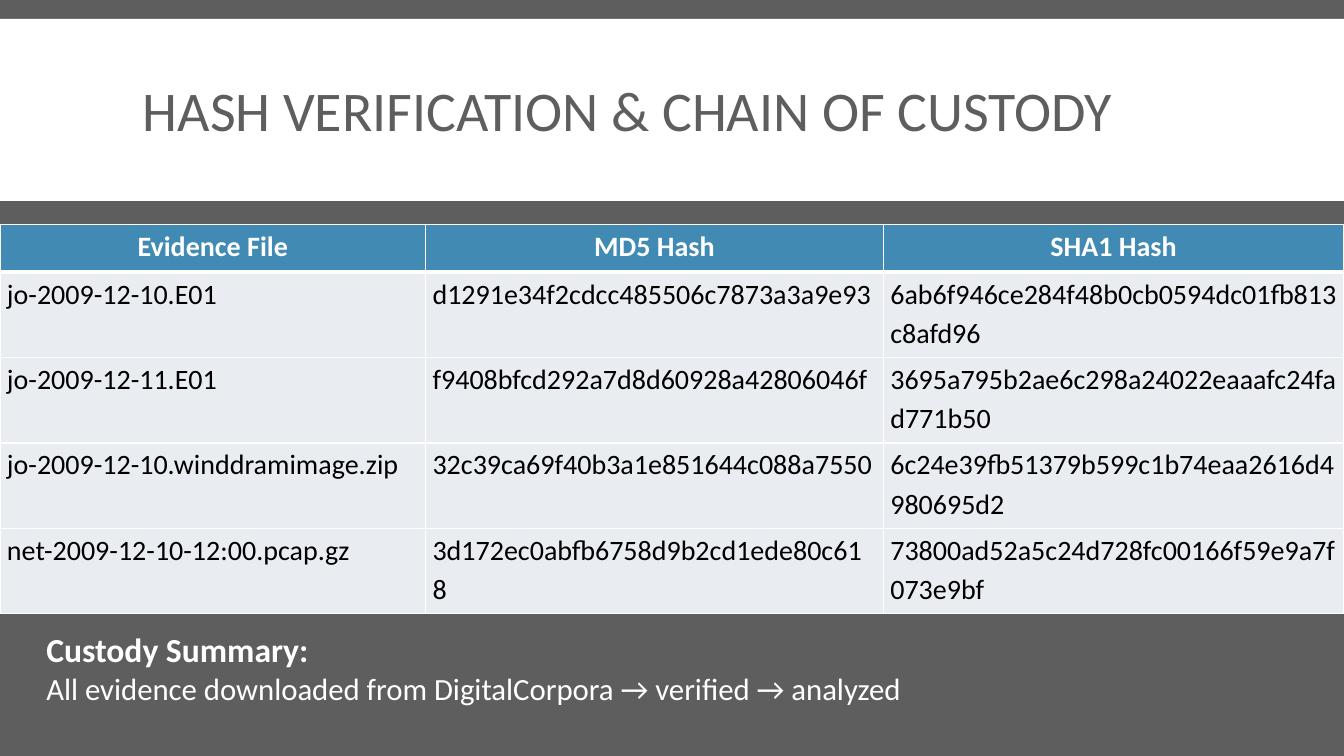
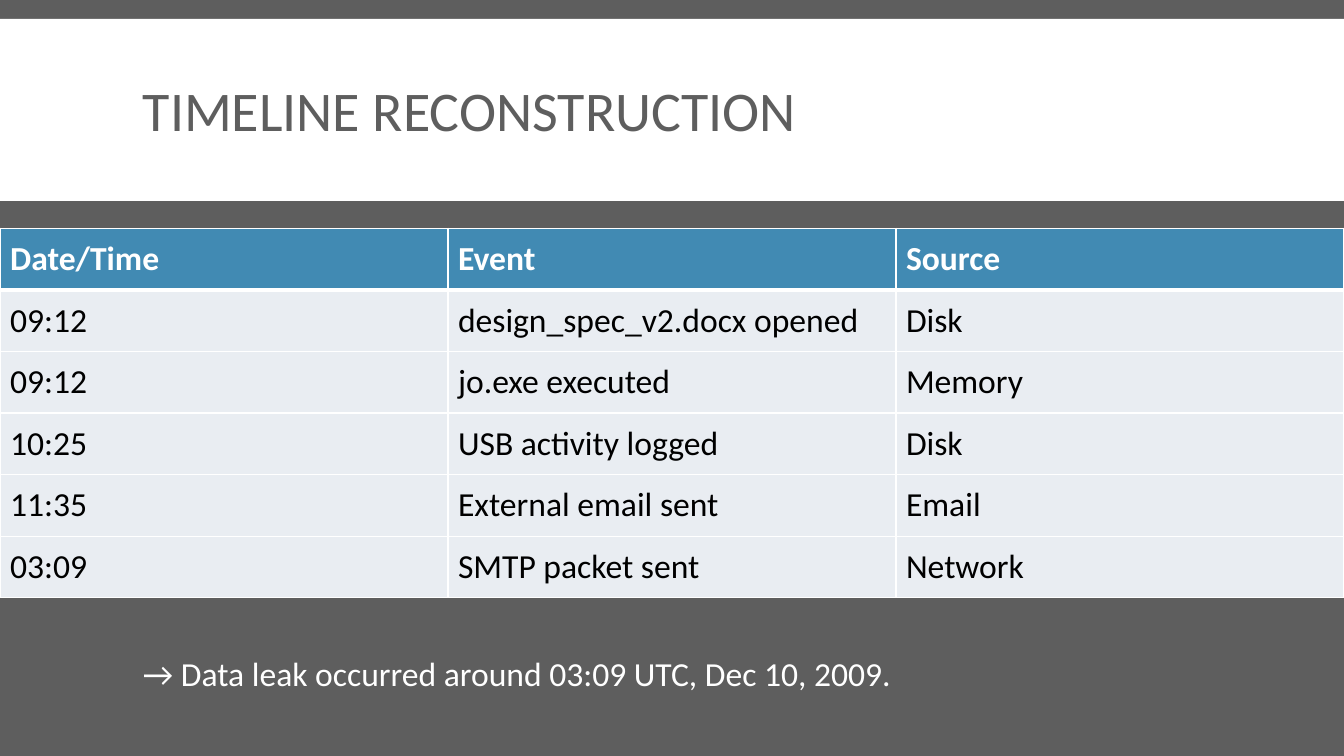
from lxml import etree
from pptx import Presentation
from pptx.dml.color import RGBColor
from pptx.enum.shapes import MSO_SHAPE as Shape
from pptx.enum.text import MSO_ANCHOR as Anchor, PP_ALIGN as Align
from pptx.oxml.ns import qn
from pptx.util import Pt

COLORS = {
    "background": "5E5E5E",
    "white": "FFFFFF",
    "header": "418AB3",
    "row": "E9EDF2",
    "text": "000000",
}
FONT = "Calibri"
WIDTH, HEIGHT = 960, 540
TITLE_BAND = (0, 13.5, WIDTH, 130)
TITLE_BOX = (95, 22, 770, 119)

HASHES = [
    ("Evidence File", "MD5 Hash", "SHA1 Hash"),
    ("jo-2009-12-10.E01", "d1291e34f2cdcc485506c7873a3a9e93",
     "6ab6f946ce284f48b0cb0594dc01fb813c8afd96"),
    ("jo-2009-12-11.E01", "f9408bfcd292a7d8d60928a42806046f",
     "3695a795b2ae6c298a24022eaaafc24fad771b50"),
    ("jo-2009-12-10.winddramimage.zip", "32c39ca69f40b3a1e851644c088a7550",
     "6c24e39fb51379b599c1b74eaa2616d4980695d2"),
    ("net-2009-12-10-12:00.pcap.gz", "3d172ec0abfb6758d9b2cd1ede80c618",
     "73800ad52a5c24d728fc00166f59e9a7f073e9bf"),
]
EVENTS = [
    ("Date/Time", "Event", "Source"),
    ("09:12", "design_spec_v2.docx opened", "Disk"),
    ("09:12", "jo.exe executed", "Memory"),
    ("10:25", "USB activity logged", "Disk"),
    ("11:35", "External email sent", "Email"),
    ("03:09", "SMTP packet sent", "Network"),
]


def color(name):
    return RGBColor.from_string(COLORS[name])


def points(box):
    return [Pt(value) for value in box]


def style(paragraph, size, color_name, bold=False):
    font = paragraph.font
    font.name, font.size, font.bold = FONT, Pt(size), bold
    font.color.rgb = color(color_name)


def add_text(slide, box, lines, color_name="white", anchor=Anchor.TOP, spacing=None):
    """Place lines of (text, size, bold) in one text box."""
    frame = slide.shapes.add_textbox(*points(box)).text_frame
    frame.word_wrap = True
    frame.vertical_anchor = anchor
    for index, (text, size, bold) in enumerate(lines):
        paragraph = frame.paragraphs[0] if index == 0 else frame.add_paragraph()
        paragraph.text = text
        paragraph.line_spacing = spacing
        style(paragraph, size, color_name, bold)


def add_borders(cell, row):
    """White rules, with a heavy one below the header row."""
    properties = cell._tc.get_or_add_tcPr()
    widths = {"lnL": 1, "lnR": 1, "lnT": 3 if row == 1 else 1, "lnB": 3 if row == 0 else 1}
    for side, width in widths.items():
        line = etree.SubElement(properties, qn("a:" + side), w=str(Pt(width)))
        fill = etree.SubElement(line, qn("a:solidFill"))
        etree.SubElement(fill, qn("a:srgbClr"), val=COLORS["white"])


def add_table(slide, top, rows, column_widths, row_heights, size,
              anchor=Anchor.TOP, header_align=Align.LEFT, spacing=None, margins=(7.2, 3.6)):
    """Place a full-width table whose first row is the header."""
    box = (0, top, sum(column_widths), sum(row_heights))
    table = slide.shapes.add_table(len(rows), len(column_widths), *points(box)).table
    for column, width in zip(table.columns, column_widths):
        column.width = Pt(width)
    for row_index, values in enumerate(rows):
        table.rows[row_index].height = Pt(row_heights[row_index])
        is_header = row_index == 0
        for column_index, value in enumerate(values):
            cell = table.cell(row_index, column_index)
            add_borders(cell, row_index)
            cell.fill.solid()
            cell.fill.fore_color.rgb = color("header" if is_header else "row")
            cell.margin_left = cell.margin_right = Pt(margins[0])
            cell.margin_top = cell.margin_bottom = Pt(margins[1])
            cell.vertical_anchor = anchor
            cell.text = value
            paragraph = cell.text_frame.paragraphs[0]
            paragraph.alignment = header_align if is_header else Align.LEFT
            paragraph.line_spacing = spacing
            style(paragraph, size, "white" if is_header else "text", is_header)


def add_titled_slide(presentation, title):
    """Blank slide with the white title band."""
    slide = presentation.slides.add_slide(presentation.slide_layouts[6])
    band = slide.shapes.add_shape(Shape.RECTANGLE, *points(TITLE_BAND))
    band.shadow.inherit = False
    band.fill.solid()
    band.fill.fore_color.rgb = color("white")
    band.line.fill.background()
    add_text(slide, TITLE_BOX, [(title, 40, False)], "background", Anchor.MIDDLE, 0.85)
    return slide


def add_custody_slide(presentation):
    slide = add_titled_slide(presentation, "HASH VERIFICATION & CHAIN OF CUSTODY")
    add_table(slide, 160.5, HASHES, [304, 327, 329], [34] + [61] * 4, 20,
              header_align=Align.CENTER, spacing=1.15, margins=(5, 0))
    add_text(slide, (26, 446, 911, 63), [
        ("Custody Summary:", 24, True),
        ("All evidence downloaded from DigitalCorpora → verified → analyzed", 22, False),
    ])


def add_timeline_slide(presentation):
    slide = add_titled_slide(presentation, "TIMELINE RECONSTRUCTION")
    add_table(slide, 163, EVENTS, [WIDTH / 3] * 3, [44] * len(EVENTS), 24, anchor=Anchor.MIDDLE)
    add_text(slide, (95, 462.5, 628, 36),
             [("→ Data leak occurred around 03:09 UTC, Dec 10, 2009.", 24, False)])


def main():
    presentation = Presentation()
    presentation.slide_width, presentation.slide_height = Pt(WIDTH), Pt(HEIGHT)
    # Background shared by all slides
    background = presentation.slide_master.background.fill
    background.solid()
    background.fore_color.rgb = color("background")
    add_custody_slide(presentation)
    add_timeline_slide(presentation)
    presentation.save("out.pptx")


if __name__ == "__main__":
    main()
